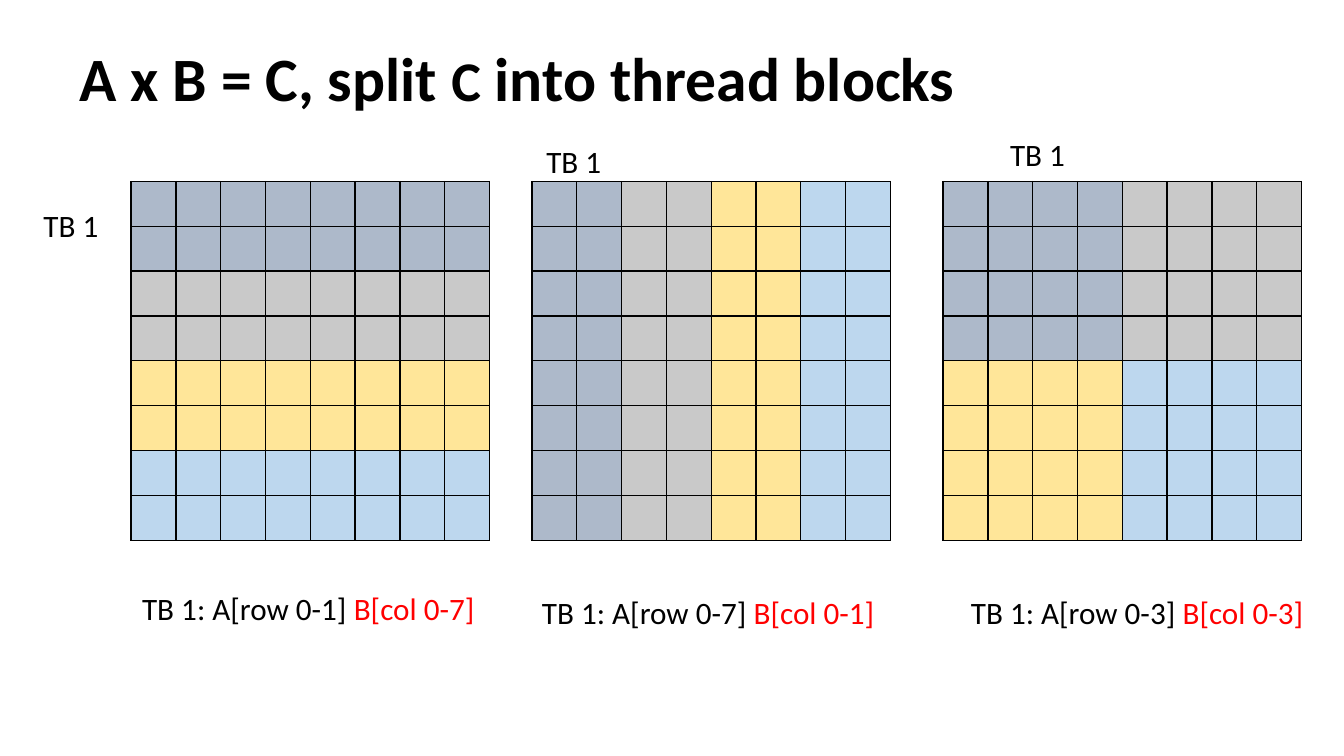
import lxml.etree
import pptx
import pptx.dml.color
import pptx.enum.text
import pptx.oxml.ns
import pptx.util

UNIT = pptx.util.Inches(0.1)  # one step of the slide's 120 x 67.5 grid
SLIDE_COLUMNS, SLIDE_ROWS = 120, 67.5
CELLS = 8
MATRIX_SIZE = 32
MATRIX_TOP = 16.2
BLOCK_COLORS = ["ADB9CA", "C9C9C9", "FFE699", "BDD7EE"]
BLACK, RED = "000000", "FF0000"


def grid(*steps):
    """Turn grid steps into slide lengths."""
    return [round(step * UNIT) for step in steps]


def color(value):
    """Turn a hex string into a colour."""
    return pptx.dml.color.RGBColor.from_string(value)


def add_text(slide, box, runs, bold=False, wrap=False, line_spacing=None,
             anchor=pptx.enum.text.MSO_ANCHOR.TOP):
    """Add one paragraph made of (text, size, colour) runs."""
    shape = slide.shapes.add_textbox(*grid(*box))
    frame = shape.text_frame
    frame.word_wrap = wrap
    frame.vertical_anchor = anchor
    paragraph = frame.paragraphs[0]
    if line_spacing:
        paragraph.line_spacing = line_spacing
    for text, size, run_color in runs:
        run = paragraph.add_run()
        run.text = text
        run.font.name = "Calibri"
        run.font.size = pptx.util.Pt(size)
        run.font.bold = bold
        run.font.color.rgb = color(run_color)


def add_borders(cell):
    """Draw a thin black line on each side of a cell."""
    properties = cell._tc.get_or_add_tcPr()
    qualified = pptx.oxml.ns.qn
    for side in ("lnL", "lnR", "lnT", "lnB"):
        line = lxml.etree.SubElement(properties, qualified("a:" + side),
                                     w=str(pptx.util.Pt(1)))
        fill = lxml.etree.SubElement(line, qualified("a:solidFill"))
        lxml.etree.SubElement(fill, qualified("a:srgbClr"), val=BLACK)


def add_matrix(slide, left, height, block_of):
    """Add a matrix whose cells are coloured by their thread block."""
    frame = slide.shapes.add_table(
        CELLS, CELLS, *grid(left, MATRIX_TOP, MATRIX_SIZE, height))
    table = frame.table
    table.first_row = table.horz_banding = False
    for row in range(CELLS):
        for column in range(CELLS):
            cell = table.cell(row, column)
            add_borders(cell)
            cell.fill.solid()
            cell.fill.fore_color.rgb = color(BLOCK_COLORS[block_of(row, column)])


def main():
    """Build the slide and save it."""
    presentation = pptx.Presentation()
    presentation.slide_width, presentation.slide_height = grid(
        SLIDE_COLUMNS, SLIDE_ROWS)
    slide = presentation.slides.add_slide(presentation.slide_layouts[6])

    add_text(slide, (6.1, 1.2, 106.8, 12.1),
             [("A x B = C, split ", 39.6, BLACK), ("C", 36, BLACK),
              (" into thread blocks ", 39.6, BLACK)],
             bold=True, wrap=True, line_spacing=0.9,
             anchor=pptx.enum.text.MSO_ANCHOR.MIDDLE)

    # matrix left and height, block rule, label place, caption place, ranges
    splits = [
        (11.7, 30, lambda row, column: row // 2,
         (2.9, 17.9), (11.7, 52.1), "0-1", "0-7"),
        (47.5, MATRIX_SIZE, lambda row, column: column // 2,
         (47.8, 12.2), (47.4, 52.5), "0-7", "0-1"),
        (84.2, MATRIX_SIZE, lambda row, column: row // 4 * 2 + column // 4,
         (89.2, 11.6), (85.7, 52.5), "0-3", "0-3"),
    ]
    for left, height, block_of, label, caption, rows, columns in splits:
        add_matrix(slide, left, height, block_of)
        add_text(slide, (*label, 7, 4.4), [("TB 1", 20, BLACK)])
        add_text(slide, (*caption, 31.9, 4.4),
                 [(f"TB 1: A[row {rows}] ", 20, BLACK),
                  (f"B[col {columns}]", 20, RED)])

    presentation.save("out.pptx")


main()
